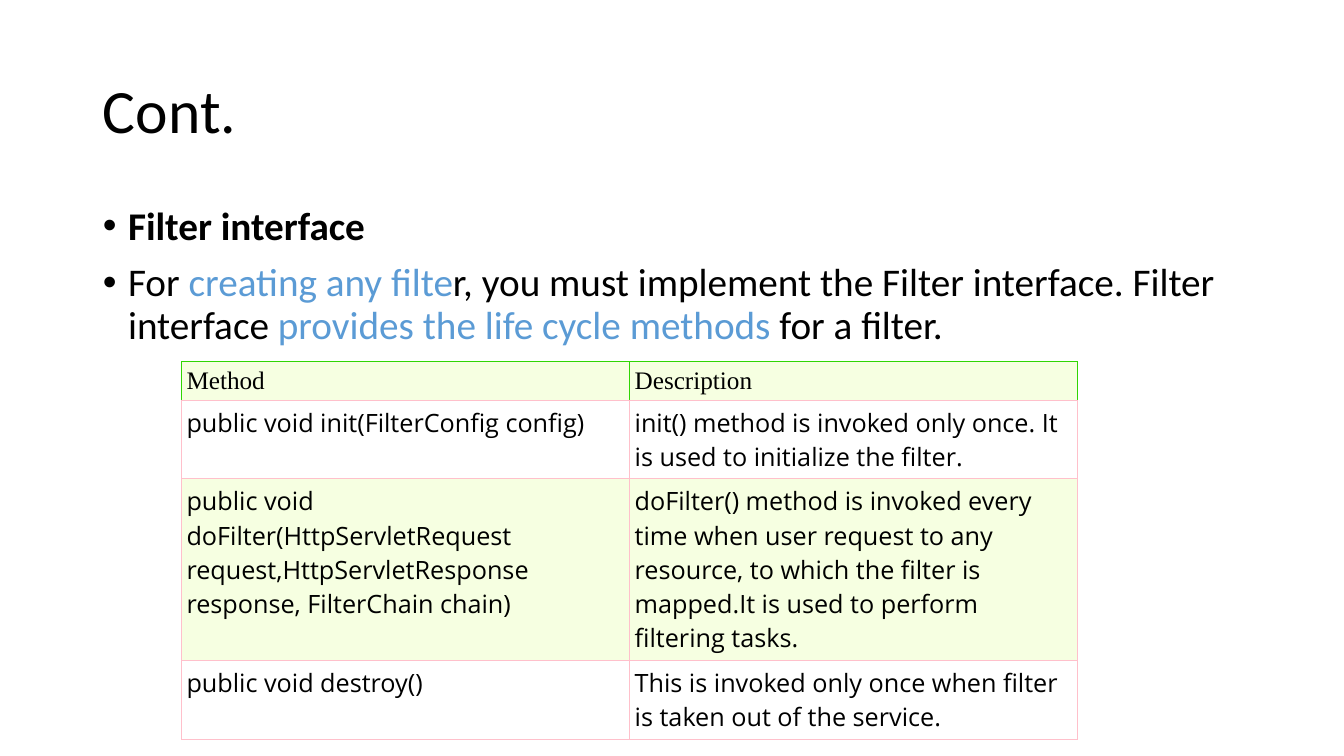
from dataclasses import dataclass
from lxml.etree import SubElement
from pptx import Presentation
from pptx.dml.color import RGBColor
from pptx.enum.text import MSO_ANCHOR, MSO_AUTO_SIZE, PP_ALIGN
from pptx.oxml.ns import qn
from pptx.util import Inches, Pt


# Colours, fonts and type sizes
@dataclass(frozen=True)
class Theme:
    ink: str = "000000"
    blue: str = "5B9BD5"
    lime: str = "F6FFE1"
    white: str = "FFFFFF"
    green: str = "30D503"
    pink: str = "FFC0CB"
    main: str = "Calibri"
    head: str = "Times New Roman"
    cell: str = "Open Sans"
    title: int = 44
    body: int = 28
    small: int = 18
    line: float = 0.75


class Deck:
    def __init__(self, theme):
        self.theme = theme
        self.file = Presentation()
        self.file.slide_width = Inches(13.33)
        self.file.slide_height = Inches(7.5)
        self.slide = self.file.slides.add_slide(self.file.slide_layouts[1])

    def run(self, para, text, size, font, color, bold=False):
        run = para.add_run()
        run.text = text
        run.font.size = Pt(size)
        run.font.name = font
        run.font.bold = bold
        run.font.color.rgb = RGBColor.from_string(color)

    def place(self, shape, box, anchor):
        shape.left, shape.top, shape.width, shape.height = map(Inches, box)
        frame = shape.text_frame
        frame.word_wrap = True
        frame.auto_size = MSO_AUTO_SIZE.NONE
        frame.vertical_anchor = anchor
        return frame

    def title(self, text, box):
        frame = self.place(self.slide.shapes.title, box, MSO_ANCHOR.MIDDLE)
        para = frame.paragraphs[0]
        para.alignment = PP_ALIGN.LEFT
        para.line_spacing = 0.9
        self.run(para, text, self.theme.title, self.theme.main, self.theme.ink)

    def bullets(self, items, box):
        frame = self.place(self.slide.placeholders[1], box, MSO_ANCHOR.TOP)
        for i, item in enumerate(items):
            para = frame.add_paragraph() if i else frame.paragraphs[0]
            para.line_spacing = 0.9
            para.space_before = Pt(10)
            props = para._p.get_or_add_pPr()
            props.set("marL", str(Inches(0.25)))
            props.set("indent", str(Inches(-0.25)))
            SubElement(props, qn("a:buFont"), typeface="Arial")
            SubElement(props, qn("a:buChar"), char="•")
            for text, color, bold in item:
                self.run(para, text, self.theme.body, self.theme.main, color, bold)

    def border(self, cell, colors):
        props = cell._tc.get_or_add_tcPr()
        for side, color in zip("LRTB", colors):
            line = SubElement(props, qn("a:ln" + side), w=str(Pt(self.theme.line)))
            fill = SubElement(line, qn("a:solidFill"))
            SubElement(fill, qn("a:srgbClr"), val=color)

    def table(self, rows, box, highs):
        look = self.theme
        table = self.slide.shapes.add_table(
            len(rows), len(rows[0]), *map(Inches, box)).table
        table.first_row = table.horz_banding = False
        for r, row in enumerate(rows):
            table.rows[r].height = Inches(highs[r])
            edge = look.pink if r else look.green
            for c, text in enumerate(row):
                cell = table.cell(r, c)
                self.border(cell, (edge, edge, edge, look.pink))
                cell.fill.solid()
                cell.fill.fore_color.rgb = RGBColor.from_string(
                    look.white if r % 2 else look.lime)
                cell.margin_left = cell.margin_right = Inches(0.05)
                cell.margin_top = cell.margin_bottom = Inches(0.05)
                self.run(cell.text_frame.paragraphs[0], text, look.small,
                         look.cell if r else look.head, look.ink)


theme = Theme()
deck = Deck(theme)

# Heading
deck.title("Cont.", (0.92, 0.4, 11.5, 1.45))

# Filter interface points
deck.bullets([
    [("Filter interface", theme.ink, True)],
    [("For ", theme.ink, False),
     ("creating any filte", theme.blue, False),
     ("r, you must implement the Filter interface. Filter interface ",
      theme.ink, False),
     ("provides the life cycle methods ", theme.blue, False),
     ("for a filter.", theme.ink, False)],
], (0.92, 2, 11.5, 4.76))

# Life cycle methods
deck.table([
    ("Method", "Description"),
    ("public void init(FilterConfig config)",
     "init() method is invoked only once. It is used to initialize the filter."),
    ("public void doFilter(HttpServletRequest request,HttpServletResponse "
     "response, FilterChain chain)",
     "doFilter() method is invoked every time when user request to any resource, "
     "to which the filter is mapped.It is used to perform filtering tasks."),
    ("public void destroy()",
     "This is invoked only once when filter is taken out of the service."),
], (1.8, 3.59, 8.89, 3.72), (0.38, 0.78, 1.8, 0.78))

deck.file.save("out.pptx")
